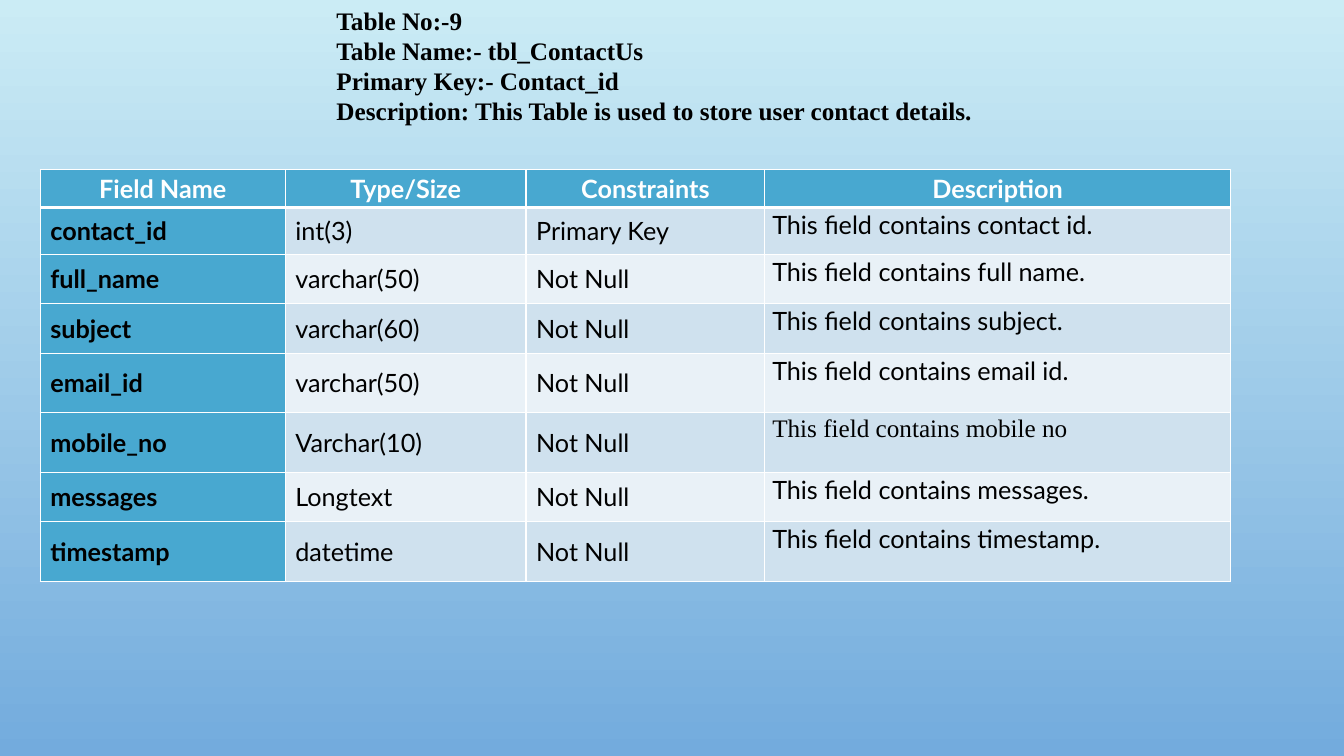
from lxml import etree
from pptx import Presentation
from pptx.dml.color import RGBColor
from pptx.enum.text import MSO_ANCHOR, MSO_AUTO_SIZE, PP_ALIGN
from pptx.oxml.ns import qn
from pptx.util import Pt

MIDDLE, TOP = MSO_ANCHOR.MIDDLE, MSO_ANCHOR.TOP
LEFT, CENTER = PP_ALIGN.LEFT, PP_ALIGN.CENTER
GROW = MSO_AUTO_SIZE.SHAPE_TO_FIT_TEXT

HEADING = [
    "Table No:-9",
    "Table Name:- tbl_ContactUs",
    "Primary Key:- Contact_id",
    "Description: This Table is used to store user contact details.",
]
COLUMNS = ["Field Name", "Type/Size", "Constraints", "Description"]
FIELDS = [
    ("contact_id", "int(3)", "Primary Key", "This field contains contact id."),
    ("full_name", "varchar(50)", "Not Null", "This field contains full name."),
    ("subject", "varchar(60)", "Not Null", "This field contains subject."),
    ("email_id", "varchar(50)", "Not Null", "This field contains email id."),
    ("mobile_no", "Varchar(10)", "Not Null", "This field contains mobile no"),
    ("messages", "Longtext", "Not Null", "This field contains messages."),
    ("timestamp", "datetime", "Not Null", "This field contains timestamp."),
]
COLORS = {
    "sky_top": "CBECF5",
    "sky_bottom": "73ABDD",
    "accent": "48A8D0",
    "band_dark": "CFE1EE",
    "band_light": "E9F1F7",
    "white": "FFFFFF",
    "black": "000000",
}
SANS, SERIF = "Lato", "Times New Roman"
SERIF_TEXTS = {"This field contains mobile no"}
TEXT_SIZE = 18

SLIDE_SIZE = (960, 540)
HEADING_BOX = (233.3, 0, 612, 94.5)
TABLE_LEFT, TABLE_TOP = 28.8, 121
COLUMN_WIDTHS = [175, 172, 170.5, 332.7]
ROW_HEIGHTS = [27.3, 33.2, 35.4, 35.4, 42.5, 42.5, 35.4, 42.5]


def rgb(name):
    return RGBColor.from_string(COLORS[name])


def add_run(paragraph, text, font, color, bold):
    run = paragraph.add_run()
    run.text = text
    run.font.name = font
    run.font.size = Pt(TEXT_SIZE)
    run.font.bold = bold
    run.font.color.rgb = rgb(color)


def set_borders(cell, widths):
    properties = cell._tc.get_or_add_tcPr()
    for position, (side, width) in enumerate(widths.items()):
        line = etree.Element(qn("a:ln" + side), w=str(Pt(width)))
        fill = etree.SubElement(line, qn("a:solidFill"))
        etree.SubElement(fill, qn("a:srgbClr"), val=COLORS["white"])
        properties.insert(position, line)


def fill_cell(cell, text, row, column):
    is_header = row == 0
    is_field_name = column == 0
    is_description = column == len(COLUMNS) - 1
    paragraph = cell.text_frame.paragraphs[0]
    paragraph.alignment = CENTER if is_header else LEFT
    if is_header or is_description:
        cell.margin_left = cell.margin_right = Pt(5.4)
        cell.margin_top = cell.margin_bottom = Pt(0)
        cell.vertical_anchor = TOP
        paragraph.line_spacing = 1.15 if is_header else 1.07
        paragraph.space_after = Pt(8)
    else:
        cell.vertical_anchor = MIDDLE
    add_run(
        paragraph,
        text,
        SERIF if text in SERIF_TEXTS else SANS,
        "white" if is_header else "black",
        is_header or is_field_name,
    )
    band = "band_dark" if row % 2 else "band_light"
    cell.fill.solid()
    cell.fill.fore_color.rgb = rgb("accent" if is_header or is_field_name else band)
    set_borders(cell, {
        "L": 1,
        "R": 1,
        "T": 3 if row == 1 else 1,
        "B": 3 if is_header else 1,
    })


def add_fields_table(slide):
    rows = [COLUMNS, *FIELDS]
    table = slide.shapes.add_table(
        len(rows), len(COLUMNS), Pt(TABLE_LEFT), Pt(TABLE_TOP),
        Pt(sum(COLUMN_WIDTHS)), Pt(sum(ROW_HEIGHTS)),
    ).table
    for column, width in zip(table.columns, COLUMN_WIDTHS):
        column.width = Pt(width)
    for row, height in zip(table.rows, ROW_HEIGHTS):
        row.height = Pt(height)
    for r, texts in enumerate(rows):
        for c, text in enumerate(texts):
            fill_cell(table.cell(r, c), text, r, c)


def add_heading(slide):
    frame = slide.shapes.add_textbox(*map(Pt, HEADING_BOX)).text_frame
    frame.word_wrap = True
    frame.auto_size = GROW
    for index, line in enumerate(HEADING):
        paragraph = frame.add_paragraph() if index else frame.paragraphs[0]
        add_run(paragraph, line, SERIF, "black", True)


def paint_background(slide):
    fill = slide.background.fill
    fill.gradient()
    fill.gradient_angle = 270
    stops = zip(fill.gradient_stops, (0, 1), ("sky_top", "sky_bottom"))
    for stop, position, color in stops:
        stop.position = position
        stop.color.rgb = rgb(color)


def main():
    presentation = Presentation()
    presentation.slide_width, presentation.slide_height = map(Pt, SLIDE_SIZE)
    slide = presentation.slides.add_slide(presentation.slide_layouts[6])
    paint_background(slide)
    add_fields_table(slide)
    add_heading(slide)
    presentation.save("out.pptx")


if __name__ == "__main__":
    main()
